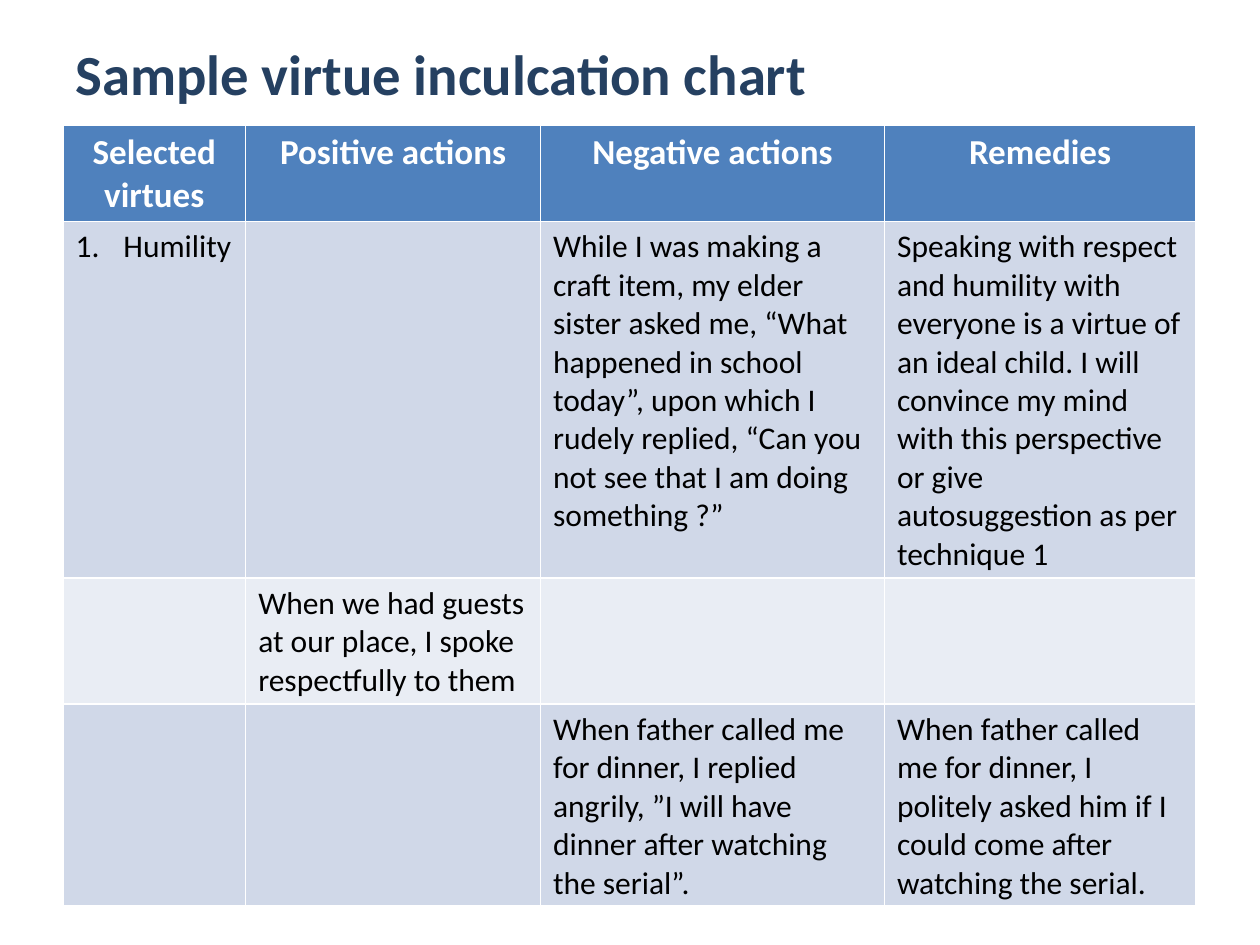
import pptx
import pptx.util
import pptx.dml.color
import pptx.enum.text
from dataclasses import dataclass
from lxml import etree

Inches, Pt = pptx.util.Inches, pptx.util.Pt
ALIGN = pptx.enum.text.PP_ALIGN
W, H = 10, 7.5


@dataclass(frozen=True)
class Theme:
    font: str = "Calibri"
    title_color: str = "254061"
    header_fill: str = "4F81BD"
    header_text: str = "FFFFFF"
    body_text: str = "000000"
    bands: tuple = ("D0D8E8", "E9EDF4")
    title_size: float = 32.4
    header_size: float = 20
    body_size: float = 18


THEME = Theme()
MARGIN = 0.05 * W
CONTENT_W = W - 2 * MARGIN
COLUMNS = (1.45, 2.34, 2.73, 2.47)
ROWS = (0.75, 2.83, 1.0, 1.59)

VIRTUES = [
    ["Selected virtues", "Positive actions", "Negative actions", "Remedies"],
    ["Humility", "",
     "While I was making a craft item, my elder sister asked me, “What happened "
     "in school today”, upon which I rudely replied, “Can you not see that I am "
     "doing something ?”",
     "Speaking with respect and humility with everyone is a virtue of an ideal "
     "child. I will convince my mind with this perspective or give "
     "autosuggestion as per technique 1"],
    ["", "When we had guests at our place, I spoke respectfully to them", "", ""],
    ["", "",
     "When father called me for dinner, I replied angrily, ”I will have dinner "
     "after watching the serial”.",
     "When father called me for dinner, I politely asked him if I could come "
     "after watching the serial."],
]


def rgb(value):
    return pptx.dml.color.RGBColor.from_string(value)


def style_paragraph(p, size, color, bold=False, align=ALIGN.LEFT):
    p.alignment = align
    p.font.name = THEME.font
    p.font.size = Pt(size)
    p.font.bold = bold
    p.font.color.rgb = rgb(color)


def number_paragraph(p, indent):
    """Turn on automatic 1. 2. 3. numbering with a hanging indent."""
    pPr = p._p.get_or_add_pPr()
    pPr.set("marL", str(Inches(indent)))
    pPr.set("indent", str(-Inches(indent)))
    bullet = etree.Element(pptx.oxml.ns.qn("a:buAutoNum"), type="arabicPeriod")
    pPr.insert(0, bullet)


def add_title(s, text):
    box = s.shapes.add_textbox(Inches(MARGIN), Inches(0.04 * H),
                               Inches(CONTENT_W), Inches(0.075 * H))
    tf = box.text_frame
    tf.word_wrap = True
    tf.vertical_anchor = pptx.enum.text.MSO_ANCHOR.MIDDLE
    p = tf.paragraphs[0]
    p.text = text
    style_paragraph(p, THEME.title_size, THEME.title_color, bold=True)


def fill_cell(cell, text, row):
    header = row == 0
    cell.fill.solid()
    cell.fill.fore_color.rgb = rgb(
        THEME.header_fill if header else THEME.bands[(row - 1) % 2])
    p = cell.text_frame.paragraphs[0]
    p.text = text
    if header:
        style_paragraph(p, THEME.header_size, THEME.header_text, True, ALIGN.CENTER)
    else:
        style_paragraph(p, THEME.body_size, THEME.body_text)


def add_virtue_table(s, rows):
    table = s.shapes.add_table(
        len(ROWS), len(COLUMNS), Inches(MARGIN), Inches(0.132 * H),
        Inches(CONTENT_W), Inches(sum(ROWS))).table
    for column, width in zip(table.columns, COLUMNS):
        column.width = Inches(width)
    for row, height in zip(table.rows, ROWS):
        row.height = Inches(height)
    for i, texts in enumerate(rows):
        for j, text in enumerate(texts):
            fill_cell(table.cell(i, j), text, i)
    number_paragraph(table.cell(1, 0).text_frame.paragraphs[0], 0.38)


def main():
    prs = pptx.Presentation()
    prs.slide_width, prs.slide_height = Inches(W), Inches(H)
    s = prs.slides.add_slide(prs.slide_layouts[6])
    add_title(s, "Sample virtue inculcation chart")
    add_virtue_table(s, VIRTUES)
    prs.save("out.pptx")


if __name__ == "__main__":
    main()
